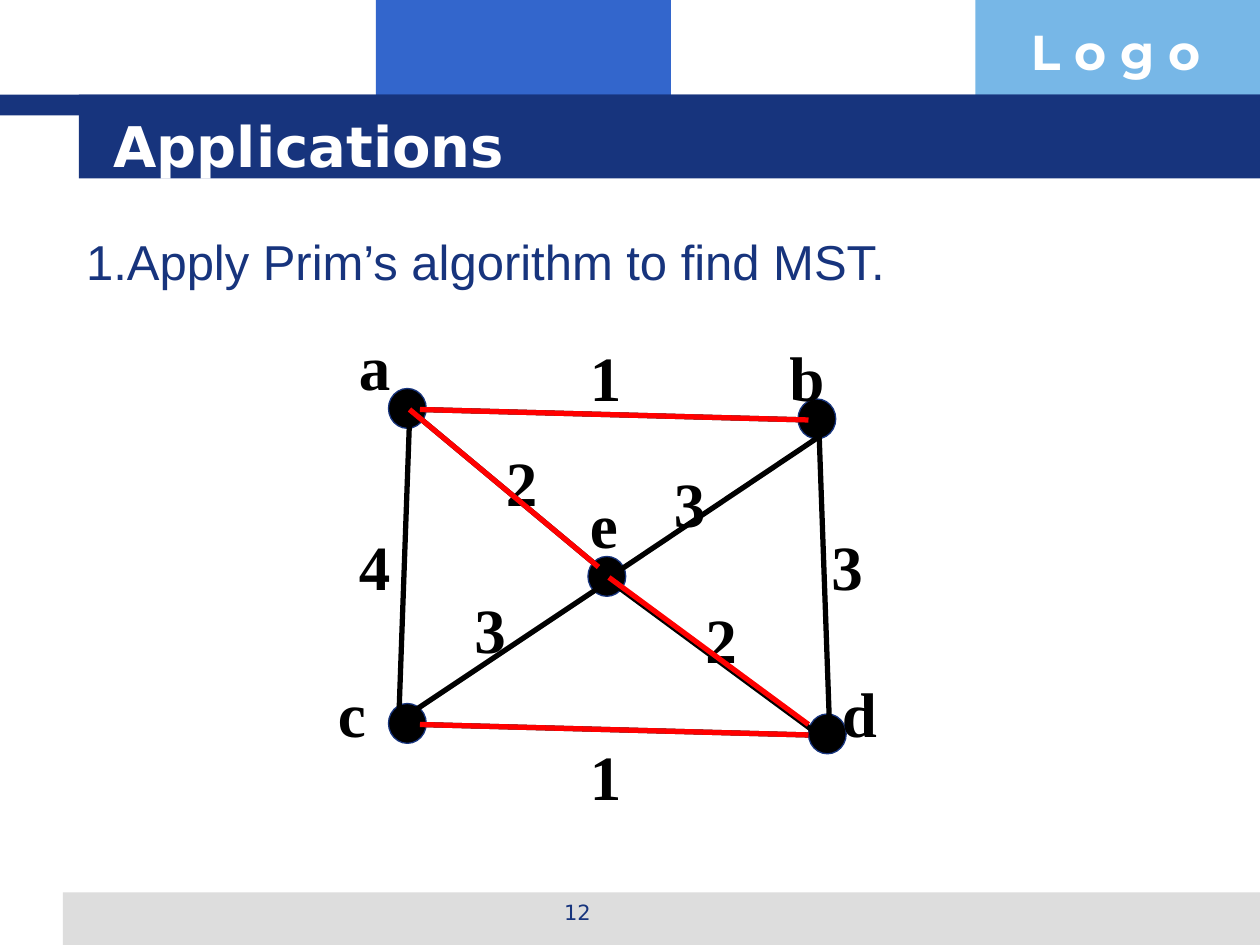
from dataclasses import dataclass
from lxml.etree import SubElement
from pptx import Presentation
from pptx.dml.color import RGBColor as RGB
from pptx.enum.shapes import MSO_CONNECTOR as Connector, MSO_SHAPE as Preset
from pptx.enum.text import MSO_ANCHOR as Anchor, MSO_AUTO_SIZE as AutoSize, PP_ALIGN as Align
from pptx.oxml.ns import qn
from pptx.util import Pt

EMU_PER_PX = 7620


def px(length):
    return length * EMU_PER_PX


@dataclass(frozen=True)
class TextStyle:
    font: str
    size: int
    color: str
    bold: bool = False
    align: Align = Align.LEFT
    top_inset: int = 10


@dataclass(frozen=True)
class Theme:
    navy: str = "17347D"
    blue: str = "3366CC"
    sky: str = "77B7E7"
    gray: str = "DDDDDD"
    ink: str = "000000"
    tree: str = "FF0000"
    title: TextStyle = TextStyle("DejaVu Sans", 32, "FFFFFF", True)
    task: TextStyle = TextStyle("Arial", 28, "17347D")
    logo: TextStyle = TextStyle("Montserrat", 28, "FFFFFF", True)
    label: TextStyle = TextStyle("Times New Roman", 36, "000000", True, top_inset=12)
    number: TextStyle = TextStyle("DejaVu Sans", 12, "17347D", False, Align.CENTER, 7)


class SlideBuilder:
    def __init__(self, slide, theme):
        self.slide = slide
        self.theme = theme

    def shape(self, preset, box, fill, outline=None):
        item = self.slide.shapes.add_shape(preset, *map(px, box))
        item.shadow.inherit = False
        item.fill.solid()
        item.fill.fore_color.rgb = RGB.from_string(fill)
        if outline:
            item.line.color.rgb = RGB.from_string(outline)
            item.line.width = Pt(0.75)
        else:
            item.line.fill.background()

    def band(self, box, fill):
        self.shape(Preset.RECTANGLE, box, fill)

    def node(self, left, top):
        self.shape(Preset.OVAL, (left, top, 36, 38), self.theme.ink, self.theme.navy)

    def edge(self, ends, color):
        line = self.slide.shapes.add_connector(Connector.STRAIGHT, *map(px, ends))
        line.line.color.rgb = RGB.from_string(color)
        line.line.width = Pt(3)
        SubElement(line.element.spPr, qn("a:effectLst"))

    def set_text(self, holder, content, style):
        frame = holder.text_frame
        frame.text = content
        frame.word_wrap = True
        frame.auto_size = AutoSize.NONE
        frame.vertical_anchor = Anchor.TOP
        frame.margin_left = frame.margin_right = px(12)
        frame.margin_top, frame.margin_bottom = px(style.top_inset), px(0)
        paragraph = frame.paragraphs[0]
        paragraph.alignment = style.align
        font = paragraph.runs[0].font
        font.name, font.size, font.bold = style.font, Pt(style.size), style.bold
        font.color.rgb = RGB.from_string(style.color)
        return paragraph

    def text(self, box, content, style):
        self.set_text(self.slide.shapes.add_textbox(*map(px, box)), content, style)

    def placeholder(self, index, box, content, style):
        holder = self.slide.placeholders[index]
        holder.left, holder.top, holder.width, holder.height = map(px, box)
        self.slide.shapes.element.append(holder.element)
        paragraph = self.set_text(holder, content, style)
        paragraph.space_before = Pt(0)
        return paragraph

    def title(self, box, content):
        self.placeholder(0, box, content, self.theme.title)

    def body(self, box, content):
        paragraph = self.placeholder(1, box, content, self.theme.task)
        properties = paragraph._p.get_or_add_pPr()
        properties.set("marL", "0")
        properties.set("indent", "0")
        SubElement(properties, qn("a:buNone"))


AB = (400, 390, 770, 400)
AE = (390, 390, 570, 540)
CD = (400, 690, 770, 700)
GRAPH_EDGES = [
    AB, AE, CD,
    (580, 550, 780, 416),
    (390, 400, 380, 680),
    (780, 410, 790, 690),
    (390, 680, 570, 560),
    (590, 560, 780, 700),
]
TREE_EDGES = [AB, AE, (580, 550, 770, 690), CD]
NODES = [(370, 370), (760, 380), (370, 670), (560, 530), (770, 680)]
NODE_NAMES = [("a", 330, 300), ("b", 740, 310), ("c", 310, 630), ("d", 790, 630), ("e", 550, 450)]
WEIGHTS = [
    ("1", 550, 310), ("1", 550, 690), ("2", 470, 410), ("2", 660, 560),
    ("3", 780, 490), ("3", 630, 430), ("3", 440, 550), ("4", 330, 490),
]


def main():
    deck = Presentation()
    deck.slide_width, deck.slide_height = px(1200), px(900)
    theme = Theme()
    page = SlideBuilder(deck.slides.add_slide(deck.slide_layouts[1]), theme)

    page.band((358, 0, 281, 110), theme.blue)
    page.band((929, 0, 271, 110), theme.sky)
    page.band((60, 850, 1140, 50), theme.gray)
    page.band((0, 90, 1200, 20), theme.navy)
    page.band((75, 90, 1125, 80), theme.navy)
    page.text((970, 10, 230, 68), "L o g o", theme.logo)
    page.text((410, 850, 280, 42), "12", theme.number)
    page.title((96, 96, 1024, 74), "Applications")

    for left, top in NODES:
        page.node(left, top)
    for ends in GRAPH_EDGES:
        page.edge(ends, theme.ink)
    for content, left, top in NODE_NAMES + WEIGHTS:
        page.text((left, top, 65, 85), content, theme.label)
    page.body((70, 210, 860, 68), "1.Apply Prim’s algorithm to find MST.")
    for ends in TREE_EDGES:
        page.edge(ends, theme.tree)

    deck.save("out.pptx")


if __name__ == "__main__":
    main()
